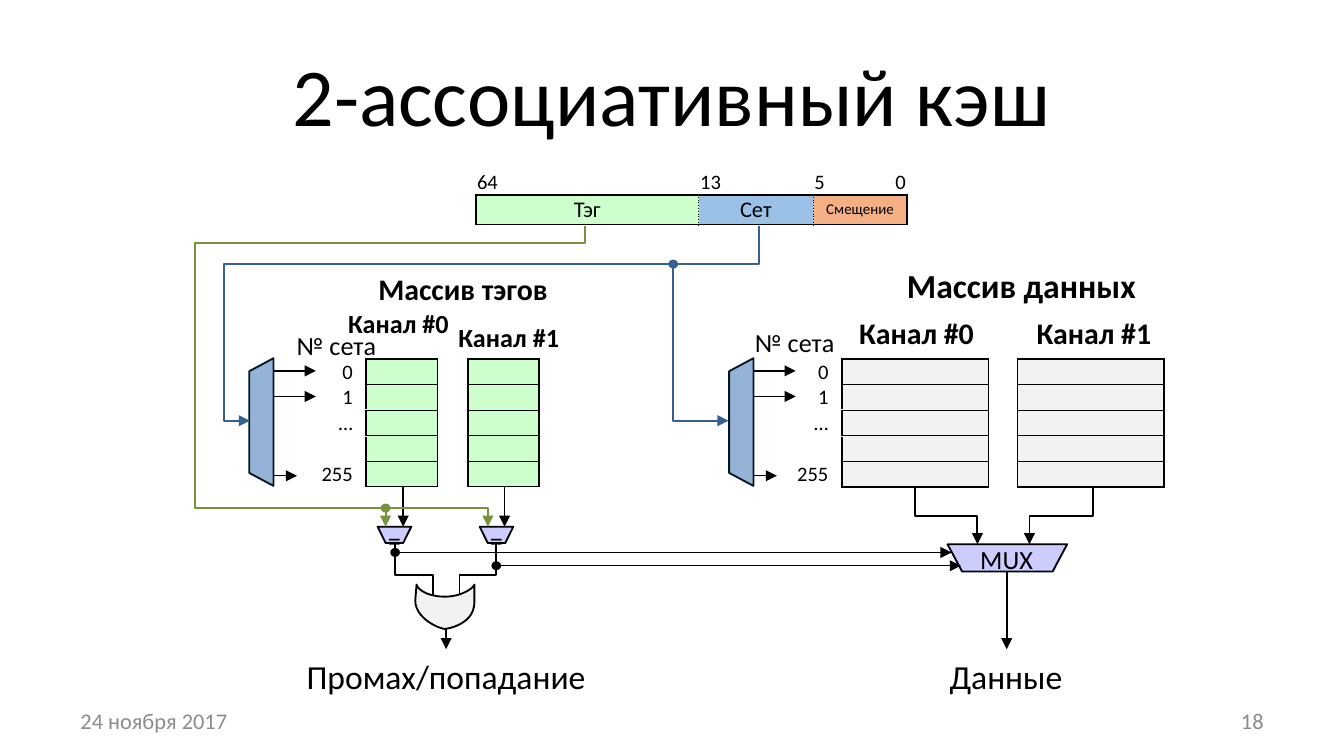
"""Draw a two-way set-associative cache diagram on one slide."""
from lxml.etree import SubElement
from pptx import Presentation
from pptx.dml.color import RGBColor
from pptx.enum.shapes import MSO_CONNECTOR, MSO_SHAPE
from pptx.enum.text import MSO_ANCHOR, PP_ALIGN
from pptx.oxml.ns import qn
from pptx.util import Pt

HUES = {"ink": "000000", "white": "FFFFFF", "tag": "CCFFCC", "set": "9BC2E6",
        "shift": "F4B084", "data": "F2F2F2", "code": "95B3D7", "edge": "061922",
        "mux": "CCCCFF", "green": "77933C", "blue": "376092", "grey": "8C8C8C"}
ALIGN = {"l": PP_ALIGN.LEFT, "c": PP_ALIGN.CENTER, "r": PP_ALIGN.RIGHT}
ANCHOR = {"t": MSO_ANCHOR.TOP, "m": MSO_ANCHOR.MIDDLE, "b": MSO_ANCHOR.BOTTOM}


class Board:
    def __init__(self, slide, font="Calibri"):
        self.shapes, self.font = slide.shapes, font

    def hue(self, name):
        return RGBColor.from_string(HUES[name])

    def add_run(self, para, words, size, align="l", bold=False, hue="ink"):
        para.alignment = ALIGN[align]
        run = para.add_run()
        run.text = words
        run.font.name, run.font.size, run.font.bold = self.font, Pt(size), bold
        run.font.color.rgb = self.hue(hue)

    def text(self, box, words, size, align="c", anchor="t", bold=False, hue="ink", wrap=True):
        frame = self.shapes.add_textbox(*map(Pt, box)).text_frame
        frame.word_wrap, frame.vertical_anchor = wrap, ANCHOR[anchor]
        self.add_run(frame.paragraphs[0], words, size, align, bold, hue)

    def paint(self, shape, fill, line):
        shape.shadow.inherit = False
        if fill:
            shape.fill.solid()
            shape.fill.fore_color.rgb = self.hue(fill)
        else:
            shape.fill.background()
        shape.line.color.rgb = self.hue(line)
        shape.line.width = Pt(1)

    def shape(self, kind, box, fill, line="ink", turn=0):
        item = self.shapes.add_shape(kind, *map(Pt, box))
        self.paint(item, fill, line)
        item.rotation = turn
        if kind == MSO_SHAPE.TRAPEZOID:
            item.adjustments[0] = 0.535

    def dot(self, x, y, hue="ink"):
        self.shape(MSO_SHAPE.OVAL, (x - 2.1, y - 1.9, 4.2, 3.8), hue, hue)

    def tip(self, line):
        SubElement(line._get_or_add_ln(), qn("a:tailEnd"), type="triangle")

    def route(self, points, hue="ink", fill=None, close=False, tip=False):
        spots = [(Pt(x), Pt(y)) for x, y in points]
        pen = self.shapes.build_freeform(*spots[0])
        pen.add_line_segments(spots[1:], close=close)
        item = pen.convert_to_shape()
        self.paint(item, fill, hue)
        if tip:
            self.tip(item.line)

    def arrow(self, x1, y1, x2, y2, width=1):
        item = self.shapes.add_connector(MSO_CONNECTOR.STRAIGHT, *map(Pt, (x1, y1, x2, y2)))
        item.line.color.rgb = self.hue("ink")
        item.line.width = Pt(width)
        self.tip(item.line)
        SubElement(item._element.spPr, qn("a:effectLst"))

    def table(self, x, y, cols, rows):
        frame = self.shapes.add_table(len(rows), len(cols), Pt(x), Pt(y), Pt(sum(cols)), Pt(sum(rows)))
        grid = frame.table
        grid.first_row = grid.horz_banding = False
        for part, size in zip(grid.columns, cols):
            part.width = Pt(size)
        for part, size in zip(grid.rows, rows):
            part.height = Pt(size)
        return grid

    def cell(self, cell, words="", size=11, align="l", anchor="m", fill=None, right=0.7, **sides):
        cell.margin_left, cell.margin_right = Pt(0.7), Pt(right)
        cell.margin_top = cell.margin_bottom = 0
        cell.vertical_anchor = ANCHOR[anchor]
        para = cell.text_frame.paragraphs[0]
        if words:
            self.add_run(para, words, size, align)
        else:
            SubElement(para._p, qn("a:endParaRPr"), sz="800")
        props = cell._tc.get_or_add_tcPr()
        for side in "LRTB":
            if side in sides:
                width = sides[side]
                line = SubElement(props, qn("a:ln" + side), w=str(int(Pt(width or 0.5))))
                ink = SubElement(line, qn("a:solidFill"))
                SubElement(ink, qn("a:srgbClr"), val=HUES["ink"])
                SubElement(line, qn("a:prstDash"), val="solid" if width else "sysDot")
        if fill:
            cell.fill.solid()
            cell.fill.fore_color.rgb = self.hue(fill)
        else:
            cell.fill.background()

    def bank(self, x, width, fill, label=0, back=None, foot=0.5):
        cols = [label, width] if label else [width]
        grid = self.table(x, 192.4, cols, [13.7] * 5)
        for row, words in enumerate(["0", "1", "…", "", "255"]):
            if label:
                self.cell(grid.cell(row, 0), words, 11, "r", "b", back, 7.2, R=1)
            self.cell(grid.cell(row, len(cols) - 1), fill=fill, L=1, R=1,
                      T=0.5 if row else 1, B=foot if row == 4 else 0.5)

    def coder(self, x):
        self.shape(MSO_SHAPE.TRAPEZOID, (x - 34.2, 219.6, 68.4, 13), "code", "edge", 270)
        for y, span in ((198.7, 22.3), (212.4, 22.3), (254.9, 12.2)):
            self.arrow(x + 6.9, y, x + 6.9 + span, y, 0.75)

    def match(self, x):
        self.route([(x - 9, 282.2), (x + 9, 282.2), (x + 4.7, 290.9), (x - 4.7, 290.9)],
                   fill="mux", close=True)
        self.text((x - 10.6, 277.2, 21.6, 24.5), "=", 14, "l", wrap=False)


def curve(a, b, c, d, steps=12):
    parts = [n / steps for n in range(steps + 1)]
    return [tuple((1 - t) ** 3 * p + 3 * t * (1 - t) ** 2 * q + 3 * t * t * (1 - t) * r + t ** 3 * s
                  for p, q, r, s in zip(a, b, c, d)) for t in parts]


def main():
    deck = Presentation()
    deck.slide_width, deck.slide_height = Pt(720), Pt(405)
    board = Board(deck.slides.add_slide(deck.slide_layouts[6]))
    board.text((36, 16.6, 648, 67.7), "2-ассоциативный кэш", 44, anchor="m")

    head = board.table(254.9, 90.7, [119.5, 24.5, 36.7, 25.2, 25.2], [13.7, 15.8])
    for col, words in enumerate(["64", "13", "", "5", "0"]):
        board.cell(head.cell(0, col), words, align="r" if col == 4 else "l", fill="white", B=1)
    for first, last, words, size, fill in ((0, 0, "Тэг", 12, "tag"), (1, 2, "Сет", 12, "set"),
                                           (3, 4, "Смещение", 8, "shift")):
        if last > first:
            head.cell(1, first).merge(head.cell(1, last))
        for col in range(first, last + 1):
            board.cell(head.cell(1, col), words if col == first else "", size, "c", fill=fill,
                       L=0 if first else 1, R=1 if last == 4 else 0, T=1, B=1)

    board.bank(162.7, 38.2, "tag", 33.5, "white")
    board.bank(250.6, 38.2, "tag")
    board.bank(421.5, 78.5, "data", 29.5, foot=1)
    board.bank(545, 78.5, "data", foot=1)
    for x, y, width, height, words, size, anchor in (
            (177.1, 160.6, 72.7, 24.5, "Канал #0", 14, "b"),
            (236.2, 167.8, 72.7, 24.5, "Канал #1", 14, "b"),
            (446.4, 164.9, 89.3, 26.6, "Канал #0", 16, "t"),
            (541.4, 164.9, 89.3, 26.6, "Канал #1", 16, "t"),
            (194.4, 141.1, 107.3, 26.6, "Массив тэгов", 16, "b"),
            (475.9, 138.2, 142.6, 28.8, "Массив данных", 18, "b")):
        board.text((x, y, width, height), words, size, anchor=anchor, bold=True)
    for x, y in ((151.9, 172.8), (397.4, 171.4)):
        board.text((x, y, 57.6, 24.5), "№ сета", 14, "l", wrap=False)
    for x in (140, 397.1):
        board.coder(x)

    for x in (211.3, 266):
        board.match(x)
    for x in (216, 270.3):
        board.arrow(x, 260.6, x, 282.2)
    board.route([(313.2, 121), (313.2, 130.3), (104.4, 130.3), (104.4, 272.2),
                 (206.6, 272.2), (206.6, 282.2)], "green", tip=True)
    board.route([(206.6, 272.2), (261.4, 272.2), (261.4, 282.2)], "green", tip=True)
    board.dot(206.6, 272.2, "green")
    board.route([(406.8, 121), (406.8, 141.5), (120.2, 141.5), (120.2, 225.4), (133.9, 225.4)],
                "blue", tip=True)
    board.route([(360.7, 141.5), (360.7, 225.4), (390.2, 225.4)], "blue", tip=True)
    board.dot(360.7, 141.5, "blue")

    board.shape(MSO_SHAPE.TRAPEZOID, (507.6, 291.6, 64.1, 14.6), "mux", turn=180)
    board.text((517.7, 287.3, 43.2, 24.5), "MUX", 14, anchor="m", wrap=False)
    for start, end in ((490.3, 523.6), (585.4, 551.5)):
        board.route([(start, 260.6), (start, 276.5), (end, 276.5), (end, 291.6)], tip=True)
    board.arrow(539.3, 306.7, 539.3, 347.8)

    gate = [(254.2, 322.6)]
    gate += curve((254.2, 313.2), (253.4, 315.4), (247, 319.7), (238.3, 319.7))
    gate += curve((238.3, 319.7), (229.7, 319.7), (223.9, 316.1), (223.2, 313.2))
    gate += curve((222.5, 321.8), (222.5, 330.5), (233.3, 336.2), (238.3, 337))
    gate += curve((238.3, 337), (244.1, 336.2), (254.2, 332.6), (254.2, 322.6))
    board.route(gate, fill="data", close=True)
    for start, end, y, stop in ((211.7, 231.8, 296, 509.8), (265.9, 246.2, 303.1, 514.8)):
        board.route([(start, 290.9), (start, 308.2), (end, 308.2), (end, 319)])
        board.dot(start, y)
        board.arrow(start + 1.6, y, stop, y, 0.75)
    board.arrow(239, 337, 239, 347.8)

    board.text((156.2, 347.8, 165.6, 28.8), "Промах/попадание", 18, wrap=False)
    board.text((501.1, 347.8, 75.6, 28.8), "Данные", 18, wrap=False)
    board.text((36, 375.1, 168, 21.6), "24 ноября 2017", 12, "l", "m", hue="grey")
    board.text((516, 375.1, 168, 21.6), "18", 12, "r", "m", hue="grey")
    deck.save("out.pptx")


if __name__ == "__main__":
    main()
